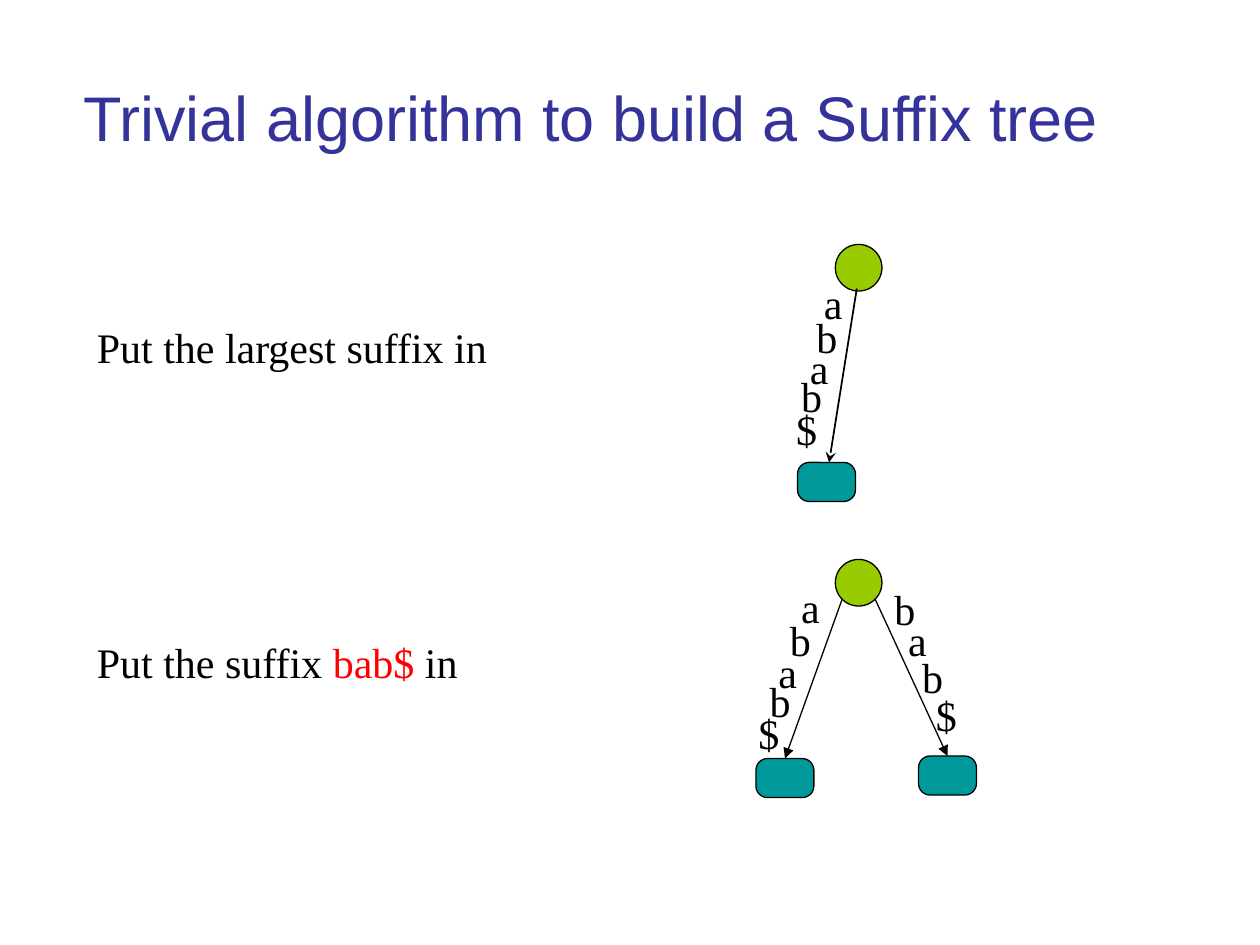
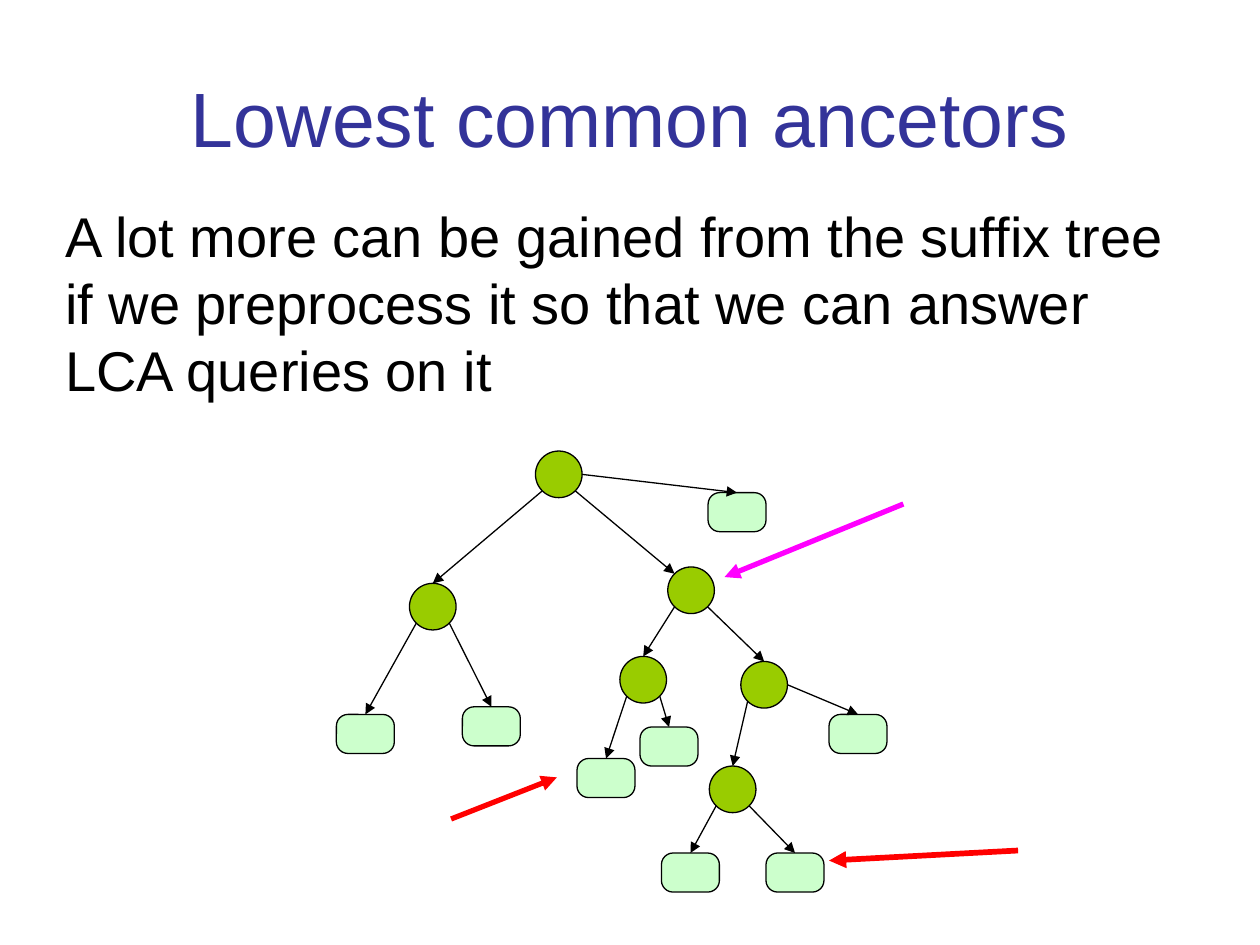
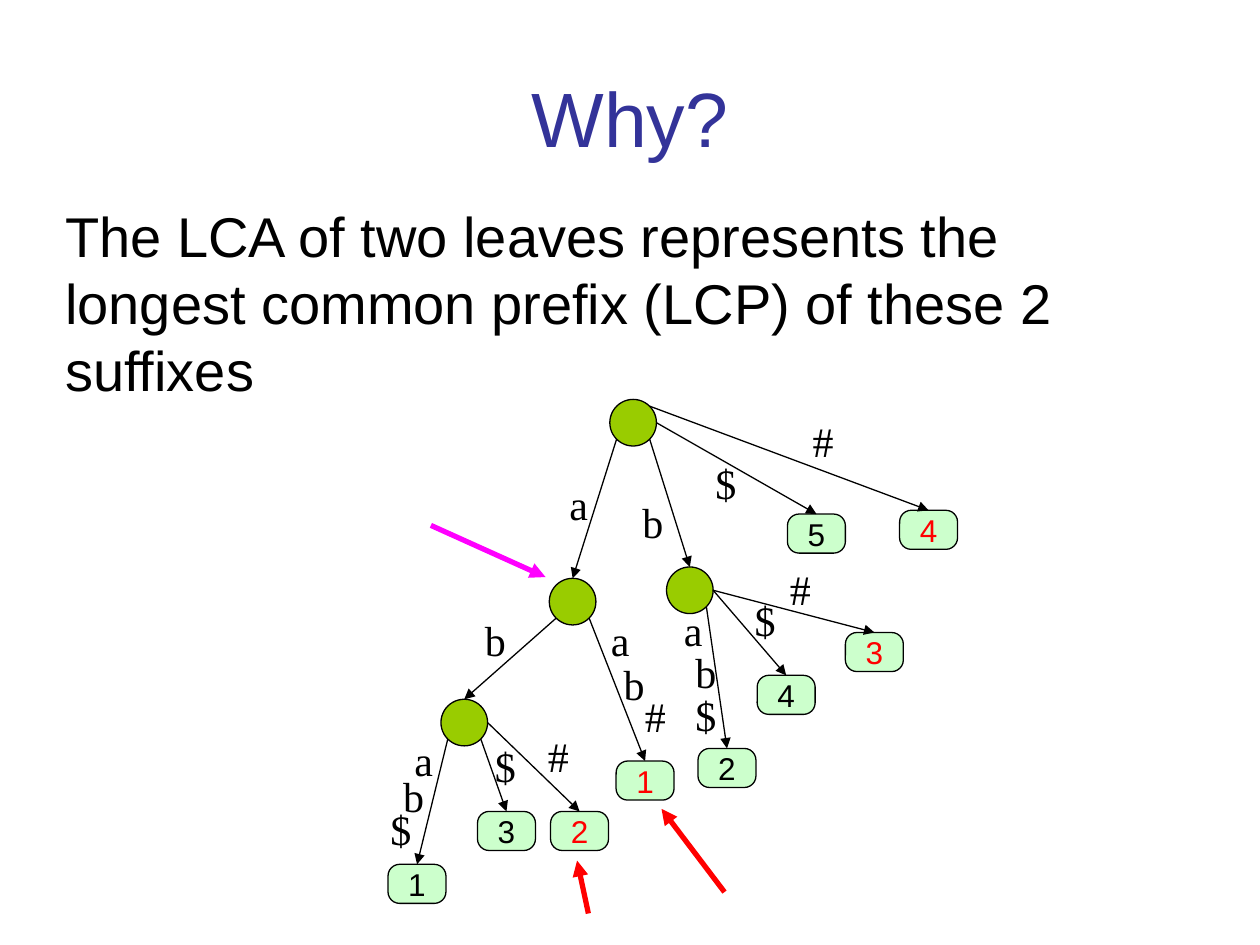
"""Build three slides on suffix trees and lowest common ancestors."""
from lxml import etree
from pptx import Presentation
from pptx.dml.color import RGBColor
from pptx.enum.shapes import MSO_CONNECTOR, MSO_SHAPE
from pptx.enum.text import MSO_ANCHOR, PP_ALIGN
from pptx.oxml.ns import qn
from pptx.util import Inches, Pt

OVAL = MSO_SHAPE.OVAL
ROUNDED = MSO_SHAPE.ROUNDED_RECTANGLE
STRAIGHT = MSO_CONNECTOR.STRAIGHT
MIDDLE = MSO_ANCHOR.MIDDLE
TOP = MSO_ANCHOR.TOP
LEFT = PP_ALIGN.LEFT
CENTER = PP_ALIGN.CENTER

COLORS = {"title": "333399", "text": "000000", "line": "000000",
          "node": "99CC00", "teal": "009999", "leaf": "CCFFCC",
          "red": "FF0000", "magenta": "FF00FF"}
SANS, SERIF = "Arial", "Times New Roman"
NODE_SIZE = 0.37
LEAF_W, LEAF_H = 0.46, 0.31
DIAGONAL = 0.71
# Direction from the centre of a shape to a point on its edge
SIDES = {"n": (0, -1), "e": (1, 0),
         "nw": (-DIAGONAL, -DIAGONAL), "ne": (DIAGONAL, -DIAGONAL),
         "sw": (-DIAGONAL, DIAGONAL), "se": (DIAGONAL, DIAGONAL)}


def rgb(name):
    """Return the named colour."""
    return RGBColor.from_string(COLORS[name])


def anchor(sp, side):
    """Return the point on the edge of a shape, in EMU."""
    dx, dy = SIDES[side]
    return (int(sp.left + sp.width * (1 + dx) / 2),
            int(sp.top + sp.height * (1 + dy) / 2))


class Deck:
    """Hold the style and the current slide."""

    def __init__(self):
        """Start an empty 10 by 7.5 inch presentation."""
        self.prs = Presentation()
        self.prs.slide_width, self.prs.slide_height = Inches(10), Inches(7.5)
        self.s = None

    def slide(self, title, size=44, right=0.1):
        """Add a blank slide with a centred title."""
        self.s = self.prs.slides.add_slide(self.prs.slide_layouts[6])
        tf = self.text(0.5, 0.3, 9, 1.25, [(title, "title")], size, SANS,
                       CENTER, MIDDLE)
        tf.margin_right = Inches(right)

    def text(self, x, y, w, h, runs, size, font, align=LEFT, anchored=TOP):
        """Add a text box of (text, colour) runs."""
        tf = self.s.shapes.add_textbox(
            Inches(x), Inches(y), Inches(w), Inches(h)).text_frame
        tf.word_wrap = True
        tf.vertical_anchor = anchored
        self.add_runs(tf, runs, size, font, align)
        return tf

    def add_runs(self, tf, runs, size, font, align):
        """Fill the first paragraph with formatted runs."""
        p = tf.paragraphs[0]
        p.alignment = align
        for words, color in runs:
            r = p.add_run()
            r.text = words
            r.font.size, r.font.name = Pt(size), font
            r.font.color.rgb = rgb(color)

    def body(self, words):
        """Add the main statement below the title."""
        self.text(0.42, 1.55, 9.17, 1.7, [(words, "text")], 32, SANS)

    def step(self, y, *runs):
        """Add the description of one construction step."""
        self.text(0.67, y, 3.83, 0.5, runs, 24, SERIF)

    def labels(self, letters, *places):
        """Add one edge letter at each place."""
        for letter, (x, y) in zip(letters, places):
            self.text(x, y, 0.42, 0.5, [(letter, "text")], 24, SERIF)

    def shape(self, kind, x, y, w, h, fill):
        """Add an outlined shape."""
        sp = self.s.shapes.add_shape(
            kind, Inches(x), Inches(y), Inches(w), Inches(h))
        sp.shadow.inherit = False
        sp.fill.solid()
        sp.fill.fore_color.rgb = rgb(fill)
        sp.line.color.rgb = rgb("line")
        sp.line.width = Pt(0.75)
        return sp

    def node(self, x, y):
        """Add an inner tree node."""
        return self.shape(OVAL, x, y, NODE_SIZE, NODE_SIZE, "node")

    def leaf(self, x, y, number="", color="text", fill="leaf"):
        """Add a leaf, with its suffix number if given."""
        sp = self.shape(ROUNDED, x, y, LEAF_W, LEAF_H, fill)
        sp.adjustments[0] = 0.297
        if number:
            tf = sp.text_frame
            tf.word_wrap = False
            tf.vertical_anchor = MIDDLE
            self.add_runs(tf, [(number, color)], 18, SANS, CENTER)
        return sp

    def line(self, start, end, color, width, head):
        """Draw an arrow between two points in EMU."""
        c = self.s.shapes.add_connector(STRAIGHT, *start, *end)
        c.line.color.rgb = rgb(color)
        c.line.width = Pt(width)
        ln = c._element.spPr.find(qn("a:ln"))
        etree.SubElement(ln, qn("a:tailEnd"), type=head)
        etree.SubElement(c._element.spPr, qn("a:effectLst"))

    def arrow(self, start, end, color, width=3, head="triangle"):
        """Draw a free arrow between two points in inches."""
        self.line([Inches(v) for v in start], [Inches(v) for v in end],
                  color, width, head)

    def edge(self, parent, side, child, child_side="n"):
        """Draw a tree edge from a parent to its child."""
        self.line(anchor(parent, side), anchor(child, child_side),
                  "line", 0.75, "triangle")


def build_steps(d):
    """Show the first two steps of the trivial algorithm."""
    # The wide right inset sets the title a little left of the middle
    d.slide("Trivial algorithm to build a Suffix tree", 36, right=0.72)
    d.step(2.5, ("Put the largest suffix in", "text"))
    d.node(6.63, 1.94)
    d.leaf(6.33, 3.67, fill="teal")
    d.arrow((6.8, 2.29), (6.58, 3.67), "line", 1, "stealth")
    d.labels("abab$", (6.44, 2.15), (6.38, 2.42), (6.33, 2.67),
             (6.26, 2.89), (6.22, 3.15))

    d.step(5, ("Put the suffix ", "text"), ("bab$", "red"), (" in", "text"))
    root = d.node(6.63, 4.44)
    d.edge(root, "sw", d.leaf(6, 6.02, fill="teal"))
    d.edge(root, "se", d.leaf(7.29, 6, fill="teal"))
    d.labels("abab$", (6.26, 4.57), (6.17, 4.83), (6.08, 5.08),
             (6.01, 5.31), (5.92, 5.57))
    d.labels("bab$", (7, 4.58), (7.11, 4.83), (7.22, 5.12), (7.33, 5.42))


def build_ancestors(d):
    """Show two leaves and their lowest common ancestor."""
    d.slide("Lowest common ancetors")
    d.body("A lot more can be gained from the suffix tree if we preprocess "
           "it so that we can answer LCA queries on it")
    root = d.node(4.25, 3.58)
    left = d.node(3.25, 4.63)
    ancestor = d.node(5.3, 4.5)
    inner_left = d.node(4.92, 5.21)
    inner_right = d.node(5.88, 5.25)
    lowest = d.node(5.63, 6.08)
    d.edge(root, "sw", left)
    d.edge(root, "se", ancestor, "nw")
    d.edge(ancestor, "sw", inner_left)
    d.edge(ancestor, "se", inner_right)
    d.edge(inner_right, "sw", lowest)
    for parent, side, x, y in (
            (root, "e", 5.62, 3.91),
            (left, "sw", 2.67, 5.67), (left, "se", 3.67, 5.61),
            (inner_left, "sw", 4.58, 6.02), (inner_left, "se", 5.08, 5.77),
            (inner_right, "e", 6.58, 5.67),
            (lowest, "sw", 5.25, 6.77), (lowest, "se", 6.08, 6.77)):
        d.edge(parent, side, d.leaf(x, y))
    d.arrow((8.08, 6.75), (6.58, 6.83), "red", 3.25)
    d.arrow((3.58, 6.5), (4.42, 6.17), "red")
    d.arrow((7.17, 4), (5.75, 4.58), "magenta")


def build_reason(d):
    """Show the common prefix of two suffixes in a labelled tree."""
    d.slide("Why?")
    d.body("The LCA of two leaves represents the longest common prefix (LCP) "
           "of these 2 suffixes")
    root = d.node(4.84, 3.17)
    a = d.node(4.36, 4.59)
    b = d.node(5.29, 4.5)
    ab = d.node(3.5, 5.55)
    d.edge(root, "sw", a)
    d.edge(root, "se", b)
    d.edge(a, "sw", ab)
    for parent, side, x, y, number, color in (
            (root, "e", 6.25, 4.08, "5", "text"),
            (root, "ne", 7.14, 4.05, "4", "red"),
            (a, "se", 4.89, 6.04, "1", "red"),
            (b, "se", 5.54, 5.94, "2", "text"),
            (b, "e", 6.01, 5.36, "4", "text"),
            (b, "e", 6.71, 5.02, "3", "red"),
            (ab, "sw", 3.08, 6.86, "1", "text"),
            (ab, "se", 3.79, 6.44, "3", "text"),
            (ab, "e", 4.37, 6.44, "2", "red")):
        d.edge(parent, side, d.leaf(x, y, number, color))
    d.labels("ab$#", (4.42, 3.75), (5, 3.89), (5.58, 3.58), (6.35, 3.25))
    d.labels("bab#", (3.75, 4.83), (4.75, 4.83), (4.85, 5.18), (5.02, 5.43))
    d.labels("ab$", (5.33, 4.75), (5.42, 5.08), (5.42, 5.42))
    d.labels("$#", (5.89, 4.67), (6.17, 4.42))
    d.labels("ab$", (3.19, 5.78), (3.1, 6.07), (3, 6.33))
    d.labels("$#", (3.83, 5.83), (4.25, 5.75))
    d.arrow((5.75, 7.08), (5.25, 6.42), "red")
    d.arrow((4.67, 7.25), (4.58, 6.83), "red")
    d.arrow((3.42, 4.17), (4.33, 4.58), "magenta")


deck = Deck()
build_steps(deck)
build_ancestors(deck)
build_reason(deck)
deck.prs.save("out.pptx")
